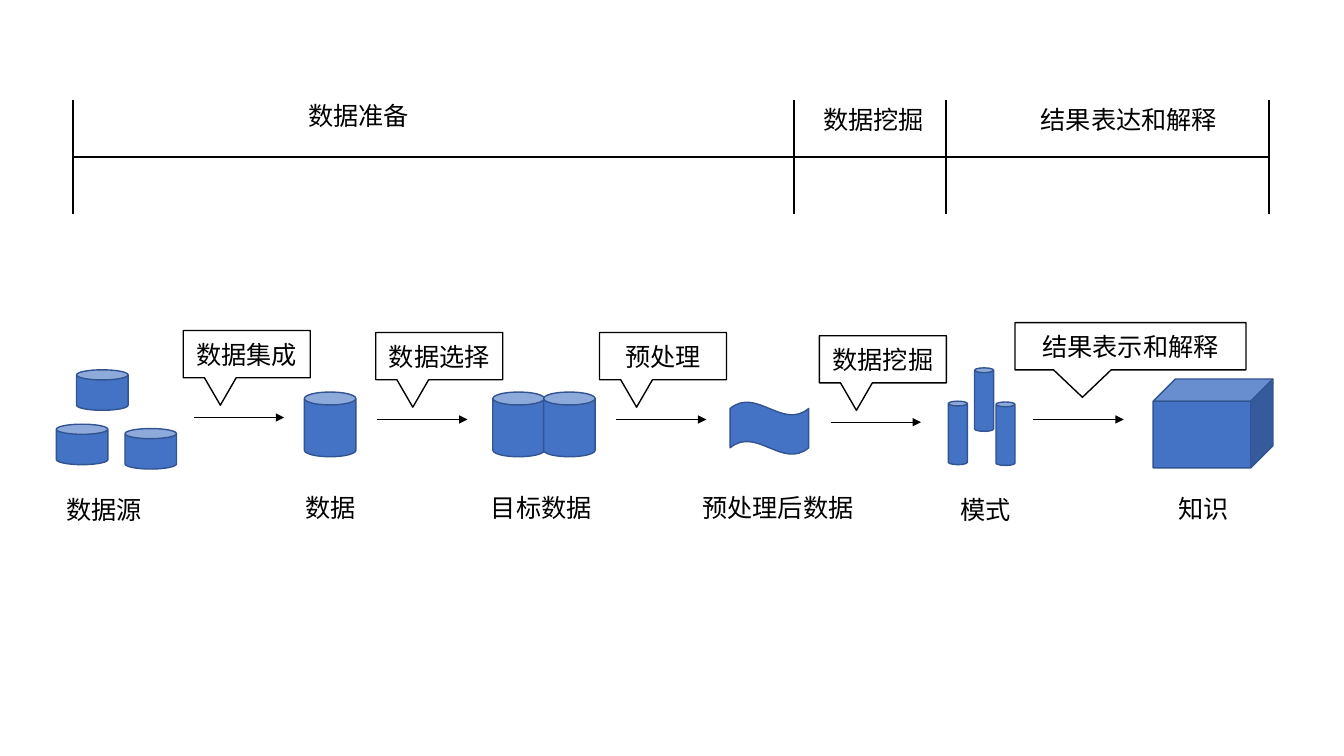
from pptx import Presentation
from pptx import util as u
from pptx.dml.color import RGBColor
from pptx.enum import shapes, text
from pptx.oxml.ns import qn
from lxml import etree

# Content: all lengths in centimetres
PHASE_BARS = [1.83, 20.02, 23.85, 31.98]
PHASE_LABELS = [  # wording, left, top, width
    ("数据准备", 7.52, 2.41, 8.41),
    ("数据挖掘", 20.5, 2.51, 3.25),
    ("结果表达和解释", 25.98, 2.51, 5.1),
]
STAGES = [  # caption (wording, left, top, width), shape kind, shape size, places
    (("数据源", 1.42, 12.32, 3), "CAN", (1.3, 1.02),
     [(1.42, 10.69), (1.93, 9.32), (3.15, 10.8)]),
    (("数据", 7.44, 12.27, 3), "CAN", (1.3, 1.63), [(7.67, 9.88)]),
    (("目标数据", 12.12, 12.27, 3.25), "CAN", (1.3, 1.63),
     [(12.42, 9.88), (13.7, 9.88)]),
    (("预处理后数据", 17.45, 12.27, 4.55), "WAVE", (1.98, 1.32), [(18.4, 10.13)]),
    (("模式", 23.95, 12.32, 3), "CAN", (0.48, 1.6),
     [(23.9, 10.11), (24.56, 9.27), (25.1, 10.13)]),
    (("知识", 29.44, 12.3, 3), "CUBE", (3.02, 2.24), [(29.06, 9.55)]),
]
STEPS = [  # wording, callout (left, top, width), arrow start
    ("数据集成", (4.62, 8.33, 3.2), (4.88, 10.52)),
    ("数据选择", (9.47, 8.38, 3.2), (9.5, 10.57)),
    ("预处理", (15.11, 8.38, 3.2), (15.52, 10.57)),
    ("数据挖掘", (20.65, 8.46, 3.2), (20.93, 10.64)),
    ("结果表示和解释", (25.58, 8.13, 5.82), (26.04, 10.57)),
]
BAR_TOP, BAR_BOTTOM = 2.51, 5.38
ARROW_LENGTH = 2.28
CALLOUT_HEIGHT = 1.19
CALLOUT_TIP = (-0.208, 1.081)
LABEL_HEIGHT = 1.02


class Theme:
    font = "Noto Sans CJK SC"
    size = u.Pt(18)
    ink = RGBColor(0, 0, 0)
    paper = RGBColor(255, 255, 255)
    blue = RGBColor(0x44, 0x72, 0xC4)
    blue_edge = RGBColor(0x32, 0x54, 0x91)
    edge = u.Pt(1)
    bar = u.Pt(1.5)
    arrow = u.Pt(0.5)


deck = Presentation()
deck.slide_width, deck.slide_height = u.Cm(33.87), u.Cm(19.05)
page = deck.slides.add_slide(deck.slide_layouts[6])


def write(box, words, align):
    para = box.text_frame.paragraphs[0]
    para.text = words
    para.alignment = align
    font = para.font
    font.name, font.size = Theme.font, Theme.size
    font.color.rgb = Theme.ink
    defaults = para._p.pPr.find(qn("a:defRPr"))
    etree.SubElement(defaults, qn("a:ea"), typeface=Theme.font)


def add_label(words, left, top, width):
    box = page.shapes.add_textbox(*map(u.Cm, (left, top, width, LABEL_HEIGHT)))
    box.text_frame.word_wrap = True
    write(box, words, text.PP_ALIGN.LEFT)


def add_solid(kind, left, top, width, height, fill, edge):
    shape = page.shapes.add_shape(getattr(shapes.MSO_SHAPE, kind),
                                  *map(u.Cm, (left, top, width, height)))
    shape.shadow.inherit = False
    shape.fill.solid()
    shape.fill.fore_color.rgb = fill
    shape.line.color.rgb = edge
    shape.line.width = Theme.edge
    return shape


def add_line(x1, y1, x2, y2, width, arrow=False):
    line = page.shapes.add_connector(shapes.MSO_CONNECTOR.STRAIGHT,
                                     *map(u.Cm, (x1, y1, x2, y2)))
    line.line.color.rgb = Theme.ink
    line.line.width = width
    if arrow:
        etree.SubElement(line.line._get_or_add_ln(), qn("a:tailEnd"), type="triangle")
    etree.SubElement(line._element.spPr, qn("a:effectLst"))


# Stages: blue shapes with a caption below
for caption, kind, size, places in STAGES:
    for place in places:
        add_solid(kind, *place, *size, Theme.blue, Theme.blue_edge)
    add_label(*caption)

# Steps: arrow between stages with a callout above
for words, (left, top, width), (x, y) in STEPS:
    add_line(x, y, x + ARROW_LENGTH, y, Theme.arrow, arrow=True)
    callout = add_solid("RECTANGULAR_CALLOUT", left, top, width, CALLOUT_HEIGHT,
                        Theme.paper, Theme.ink)
    for index, value in enumerate(CALLOUT_TIP):
        callout.adjustments[index] = value
    callout.text_frame.vertical_anchor = text.MSO_ANCHOR.MIDDLE
    write(callout, words, text.PP_ALIGN.CENTER)

# Phases: upright bars joined by a line at mid-height
middle = (BAR_TOP + BAR_BOTTOM) / 2
for x in PHASE_BARS:
    add_line(x, BAR_TOP, x, BAR_BOTTOM, Theme.bar)
for start, end in zip(PHASE_BARS, PHASE_BARS[1:]):
    add_line(start, middle, end, middle, Theme.bar)
for label in PHASE_LABELS:
    add_label(*label)

deck.save("out.pptx")
